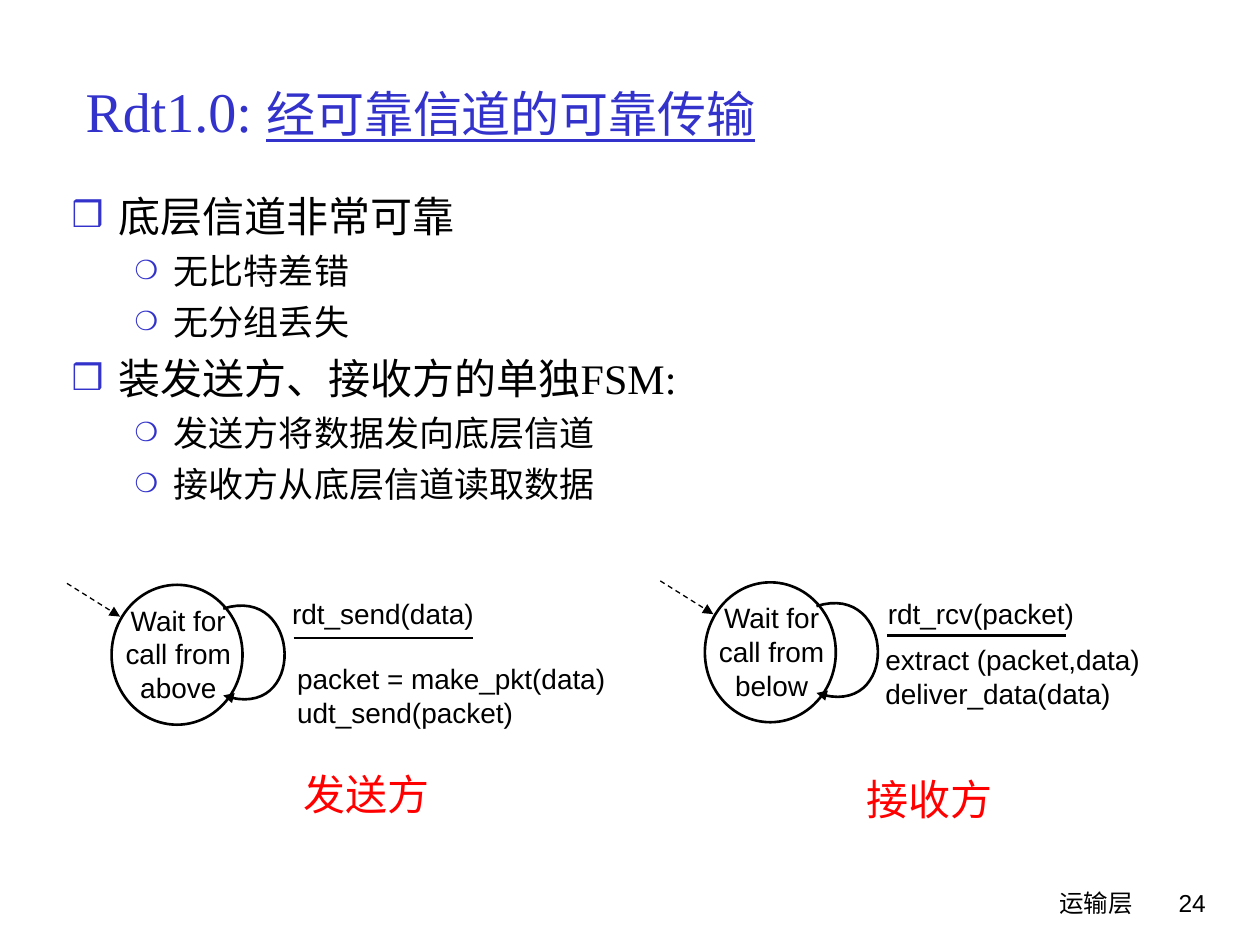
from lxml import etree
from pptx import Presentation
from pptx.dml.color import RGBColor
from pptx.enum.dml import MSO_LINE
from pptx.enum.shapes import MSO_CONNECTOR, MSO_SHAPE
from pptx.enum.text import MSO_ANCHOR, MSO_AUTO_SIZE, PP_ALIGN
from pptx.oxml.ns import qn
from pptx.util import Cm, Pt

LEFT, MID, RIGHT = PP_ALIGN.LEFT, PP_ALIGN.CENTER, PP_ALIGN.RIGHT
OVAL, LINE, DASH = MSO_SHAPE.OVAL, MSO_CONNECTOR.STRAIGHT, MSO_LINE.DASH
FIXED, TOP, MIDDLE = MSO_AUTO_SIZE.NONE, MSO_ANCHOR.TOP, MSO_ANCHOR.MIDDLE

COLORS = {"ink": "000000", "blue": "3333CC", "red": "FF0000", "paper": "FFFFFF"}
SERIF, SANS, COMIC = "Times New Roman", "Arial", "Comic Neue"

# List levels: size, space before, left margin, hanging indent, bullet, bullet size
LEVELS = [
    dict(size=24, gap=6, left=0.95, hang=0.95, mark="❒", scale=85),
    dict(size=20, gap=5, left=2.06, hang=0.79, mark="❍", scale=75),
]
ITEMS = [
    (0, "底层信道非常可靠"),
    (1, "无比特差错"),
    (1, "无分组丢失"),
    (0, "装发送方、接收方的单独FSM:"),
    (1, "发送方将数据发向底层信道"),
    (1, "接收方从底层信道读取数据"),
]

# Both state machines; places are relative to the start of the entry arrow
SENDER = dict(
    at=(1.35, 11.76),
    state="Wait for call from above",
    event=("rdt_send(data)", (4.29, 0.15, 6.27, 1.19)),
    action=("packet = make_pkt(data)\nudt_send(packet)", (4.39, 1.45, 7.44, 1.65)),
    role=("发送方", (4.52, 3.61, 3.05, 1.27)),
)
TAKER = dict(
    at=(13.31, 11.71),
    state="Wait for call from below",
    event=("rdt_rcv(packet)", (4.34, 0.2, 4.27, 0.94)),
    action=("extract (packet,data)\ndeliver_data(data)", (4.29, 1.12, 6.91, 1.19)),
    role=("接收方", (3.91, 3.76, 3.05, 1.27)),
)
LOOP = [(3.15, 0.51), (4.75, 0), (4.85, 2.84), (3.15, 2.26)]
STEPS = 32


def color(name):
    return RGBColor.from_string(COLORS[name])


def style(font, tint="ink", **form):
    for key, value in form.items():
        setattr(font, key, value)
    font.color.rgb = color(tint)


def place(shape, box):
    for key, value in zip(("left", "top", "width", "height"), box):
        setattr(shape, key, Cm(value))


def shift(box, at):
    return (box[0] + at[0], box[1] + at[1], *box[2:])


def label(slide, text, box, align=LEFT, **form):
    frame = slide.shapes.add_textbox(*map(Cm, box)).text_frame
    frame.word_wrap = True
    frame.text = text
    for para in frame.paragraphs:
        para.alignment = align
        style(para.runs[0].font, **form)


def stroke(shape, width=1.5, dash=None, arrow=False):
    shape.line.color.rgb = color("ink")
    shape.line.width = Pt(width)
    if dash:
        shape.line.dash_style = dash
    if arrow:
        line = shape.element.find(".//" + qn("a:ln"))
        etree.SubElement(line, qn("a:tailEnd"), type="triangle")


def link(slide, start, end, **form):
    wire = slide.shapes.add_connector(LINE, *map(Cm, (*start, *end)))
    stroke(wire, **form)
    etree.SubElement(wire.element.spPr, qn("a:effectLst"))


def curve(slide, knots, **form):
    def point(t):
        parts = ((1 - t) ** 3, 3 * t * (1 - t) ** 2, 3 * t * t * (1 - t), t ** 3)
        return tuple(Cm(sum(w * k[i] for w, k in zip(parts, knots))) for i in (0, 1))

    pen = slide.shapes.build_freeform(*point(0))
    pen.add_line_segments([point(n / STEPS) for n in range(1, STEPS + 1)], close=False)
    arc = pen.convert_to_shape()
    arc.shadow.inherit = False
    arc.fill.background()
    stroke(arc, **form)


def bullet(para, level):
    para.space_before = Pt(level["gap"])
    props = para._p.get_or_add_pPr()
    props.set("marL", str(Cm(level["left"])))
    props.set("indent", str(-Cm(level["hang"])))
    tint = etree.SubElement(props, qn("a:buClr"))
    etree.SubElement(tint, qn("a:srgbClr"), val=COLORS["blue"])
    etree.SubElement(props, qn("a:buSzPct"), val=str(level["scale"] * 1000))
    etree.SubElement(props, qn("a:buChar"), char=level["mark"])


def head(slide, box):
    title = slide.shapes.title
    place(title, box)
    frame = title.text_frame
    frame.auto_size, frame.vertical_anchor = FIXED, MIDDLE
    para = frame.paragraphs[0]
    para.alignment = LEFT
    for text, size, under in (("Rdt1.0: ", 32, False), ("经可靠信道的可靠传输", 28, True)):
        run = para.add_run()
        run.text = text
        style(run.font, "blue", name=SERIF, size=Pt(size), underline=under)


def body(slide, box):
    holder = slide.placeholders[1]
    place(holder, box)
    frame = holder.text_frame
    frame.auto_size, frame.vertical_anchor = FIXED, TOP
    frame.text = "\n".join(text for _, text in ITEMS)
    for para, (depth, _) in zip(frame.paragraphs, ITEMS):
        para.level = depth
        bullet(para, LEVELS[depth])
        style(para.runs[0].font, name=SERIF, size=Pt(LEVELS[depth]["size"]))
    frame.paragraphs[0].space_before = Pt(0)


def machine(slide, at, state, event, action, role):
    small = dict(name=SANS, size=Pt(16))
    # State circle and its name
    ring = slide.shapes.add_shape(OVAL, *map(Cm, shift((0.9, 0.03, 2.64, 2.82), at)))
    ring.shadow.inherit = False
    ring.fill.solid()
    ring.fill.fore_color.rgb = color("paper")
    stroke(ring)
    label(slide, state, shift((0.72, 0.28, 3.05, 2.54), at), MID, **small)
    # Entry arrow, loop back and the rule between event and action
    link(slide, at, shift((1.07, 0.67), at), width=0.75, dash=DASH, arrow=True)
    curve(slide, [shift(knot, at) for knot in LOOP], arrow=True)
    link(slide, shift((4.57, 1.1), at), shift((8.18, 1.1), at))
    # Event, action and role
    for text, box in (event, action):
        label(slide, text, shift(box, at), **small)
    label(slide, role[0], shift(role[1], at), MID, tint="red", name=COMIC, size=Pt(24))


def foot(slide, top):
    for text, left, width, face in (("运输层", 15.04, 8.05, COMIC), ("24", 22.68, 1.88, SANS)):
        label(slide, text, (left, top, width, 1.27), RIGHT, name=face, size=Pt(14))


def main():
    deck = Presentation()
    deck.slide_width, deck.slide_height = Cm(25.4), Cm(19.05)
    slide = deck.slides.add_slide(deck.slide_layouts[1])
    head(slide, (1.47, 0.64, 22.23, 3.18))
    body(slide, (1.19, 3.71, 21.95, 8.38))
    for plan in (SENDER, TAKER):
        machine(slide, **plan)
    foot(slide, 17.78)
    deck.save("out.pptx")


if __name__ == "__main__":
    main()
